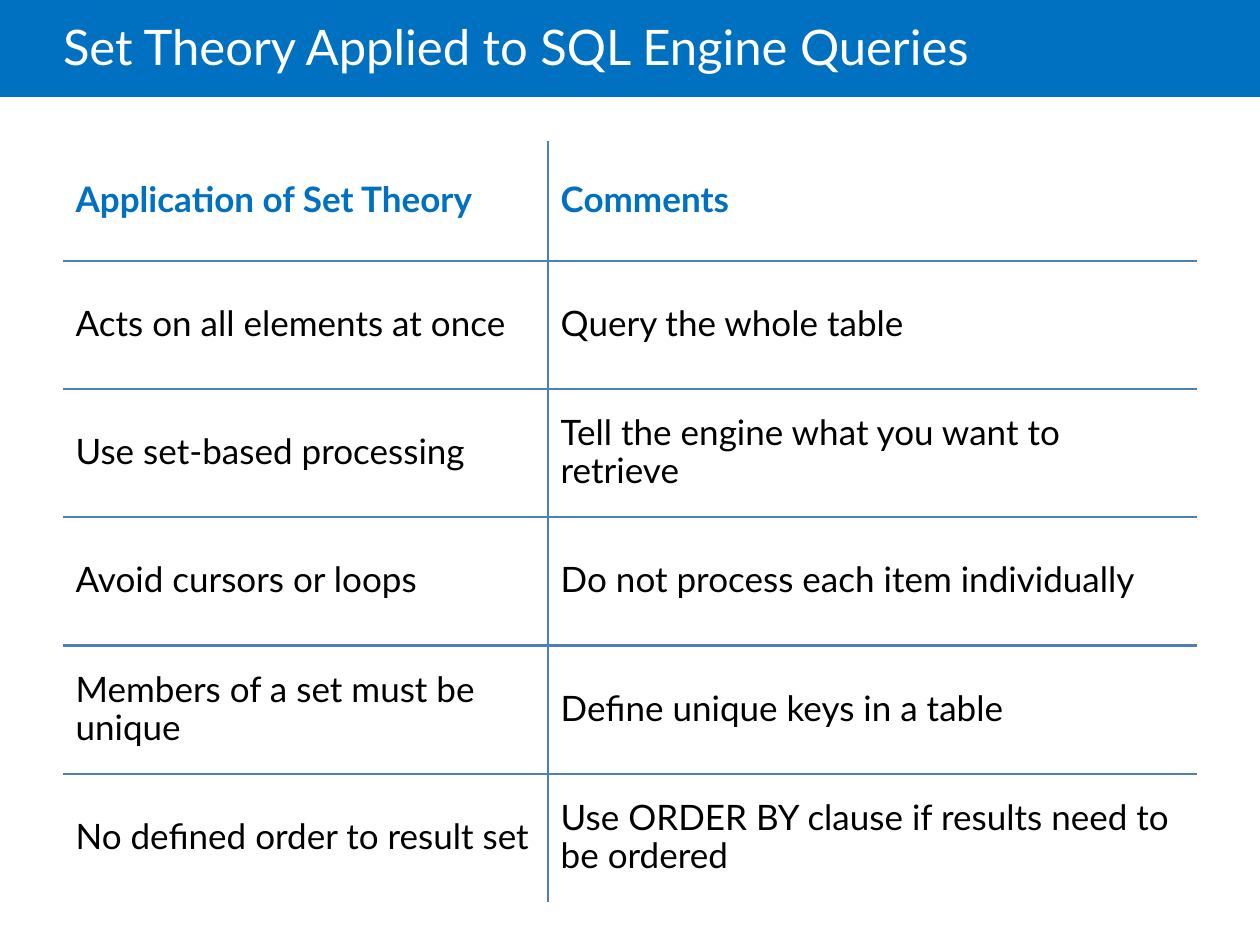
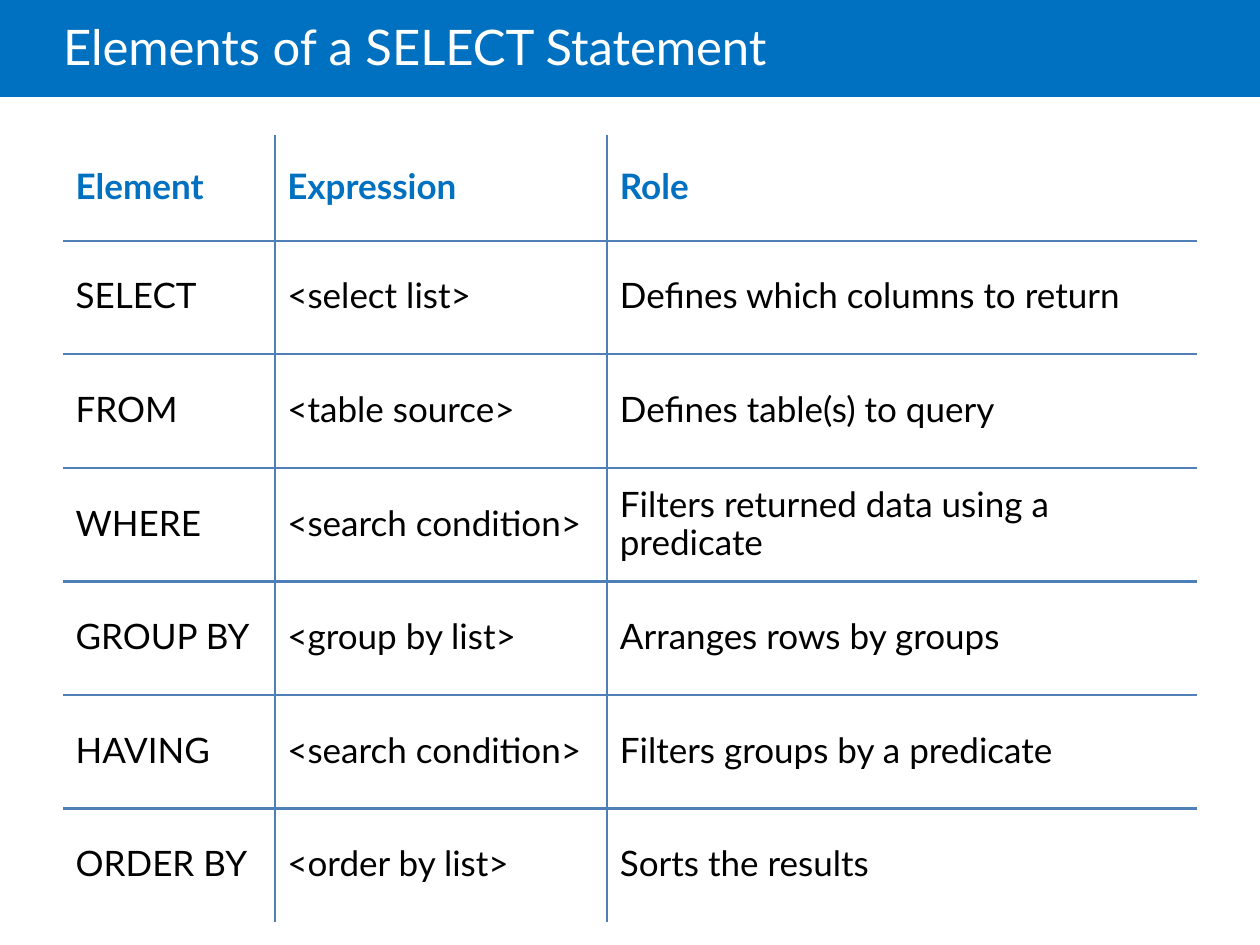
from lxml import etree
from pptx import Presentation
from pptx import util as u
from pptx.dml.color import RGBColor
from pptx.enum import shapes, text
from pptx.oxml.ns import qn

# Content: title, table top and height, header height, column widths, rows
SLIDES = [
    dict(
        title="Set Theory Applied to SQL Engine Queries",
        top=1.12, height=6.04, header=0.95, columns=(3.85, 5.15),
        rows=[
            ("Application of Set Theory", "Comments"),
            ("Acts on all elements at once", "Query the whole table"),
            ("Use set-based processing", "Tell the engine what you want to retrieve"),
            ("Avoid cursors or loops", "Do not process each item individually"),
            ("Members of a set must be unique", "Define unique keys in a table"),
            ("No defined order to result set",
             "Use ORDER BY clause if results need to be ordered"),
        ]),
    dict(
        title="Elements of a SELECT Statement",
        top=1.07, height=6.25, header=0.84, columns=(1.68, 2.64, 4.68),
        rows=[
            ("Element", "Expression", "Role"),
            ("SELECT", "<select list>", "Defines which columns to return"),
            ("FROM", "<table source>", "Defines table(s) to query"),
            ("WHERE", "<search condition>", "Filters returned data using a predicate"),
            ("GROUP BY", "<group by list>", "Arranges rows by groups"),
            ("HAVING", "<search condition>", "Filters groups by a predicate"),
            ("ORDER BY", "<order by list>", "Sorts the results"),
        ]),
]

# Shared style
FONT = "Lato"
BLUE, RULE, WHITE, BLACK = "0070C0", "4F7FB7", "FFFFFF", "000000"
WIDTH, HEIGHT, MARGIN = 10, 7.5, 0.5
BAND_HEIGHT = 0.77
CELL_INSET = 0.1
RULE_WIDTH = 1.5


def color(hex_string):
    return RGBColor.from_string(hex_string)


def write(tf, content, size, hex_string, spacing, bold=False):
    p = tf.paragraphs[0]
    p.alignment = text.PP_ALIGN.LEFT
    p.line_spacing = spacing
    r = p.add_run()
    r.text = content
    r.font.name, r.font.size, r.font.bold = FONT, u.Pt(size), bold
    r.font.color.rgb = color(hex_string)


def add_band(s):
    sp = s.shapes.add_shape(shapes.MSO_SHAPE.RECTANGLE, 0, 0,
                            u.Inches(WIDTH), u.Inches(BAND_HEIGHT))
    sp.shadow.inherit = False
    sp.fill.solid()
    sp.fill.fore_color.rgb = color(BLUE)
    sp.line.fill.background()
    s.shapes._spTree.insert(2, sp._element)  # behind the title


def set_title(s, content):
    sp = s.shapes.title
    sp.left, sp.top = u.Inches(MARGIN), 0
    sp.width, sp.height = u.Inches(8.5), u.Inches(0.81)
    tf = sp.text_frame
    tf.word_wrap = True
    tf.auto_size = text.MSO_AUTO_SIZE.NONE
    tf.vertical_anchor = text.MSO_ANCHOR.MIDDLE
    tf.margin_left, tf.margin_right = 0, u.Inches(0.1)
    tf.margin_top = tf.margin_bottom = u.Inches(0.05)
    write(tf, content, 28, WHITE, 0.85)


def set_borders(cell, sides):
    """Rule the inner sides of a cell; sides maps L, R, T, B to shown or not."""
    tc_pr = cell._tc.get_or_add_tcPr()
    for side, shown in sides.items():
        ln = etree.SubElement(tc_pr, qn(f"a:ln{side}"), w=str(u.Pt(RULE_WIDTH)))
        if shown:
            fill = etree.SubElement(ln, qn("a:solidFill"))
            etree.SubElement(fill, qn("a:srgbClr"), val=RULE)
        else:
            etree.SubElement(ln, qn("a:noFill"))


def add_ruled_table(s, top, height, header, columns, rows):
    last_row, last_col = len(rows) - 1, len(columns) - 1
    table = s.shapes.add_table(
        len(rows), len(columns), u.Inches(MARGIN), u.Inches(top),
        u.Inches(WIDTH - 2 * MARGIN), u.Inches(height)).table
    table.first_row = table.horz_banding = False
    for column, width in zip(table.columns, columns):
        column.width = u.Inches(width)
    for i, row in enumerate(table.rows):
        row.height = u.Inches((height - header) / last_row if i else header)

    for i, row in enumerate(rows):
        for j, content in enumerate(row):
            cell = table.cell(i, j)
            set_borders(cell, dict(L=j > 0, R=j < last_col, T=i > 0, B=i < last_row))
            cell.fill.solid()
            cell.fill.fore_color.rgb = color(WHITE)
            cell.vertical_anchor = text.MSO_ANCHOR.MIDDLE
            cell.margin_left = cell.margin_right = u.Inches(CELL_INSET)
            cell.margin_top = cell.margin_bottom = u.Inches(CELL_INSET)
            write(cell.text_frame, content, 20, BLACK if i else BLUE, 0.9, bold=i == 0)


def main():
    prs = Presentation()
    prs.slide_width, prs.slide_height = u.Inches(WIDTH), u.Inches(HEIGHT)
    title_only = prs.slide_layouts[5]
    for content in SLIDES:
        s = prs.slides.add_slide(title_only)
        add_band(s)
        set_title(s, content["title"])
        add_ruled_table(s, content["top"], content["height"], content["header"],
                        content["columns"], content["rows"])
    prs.save("out.pptx")


if __name__ == "__main__":
    main()
